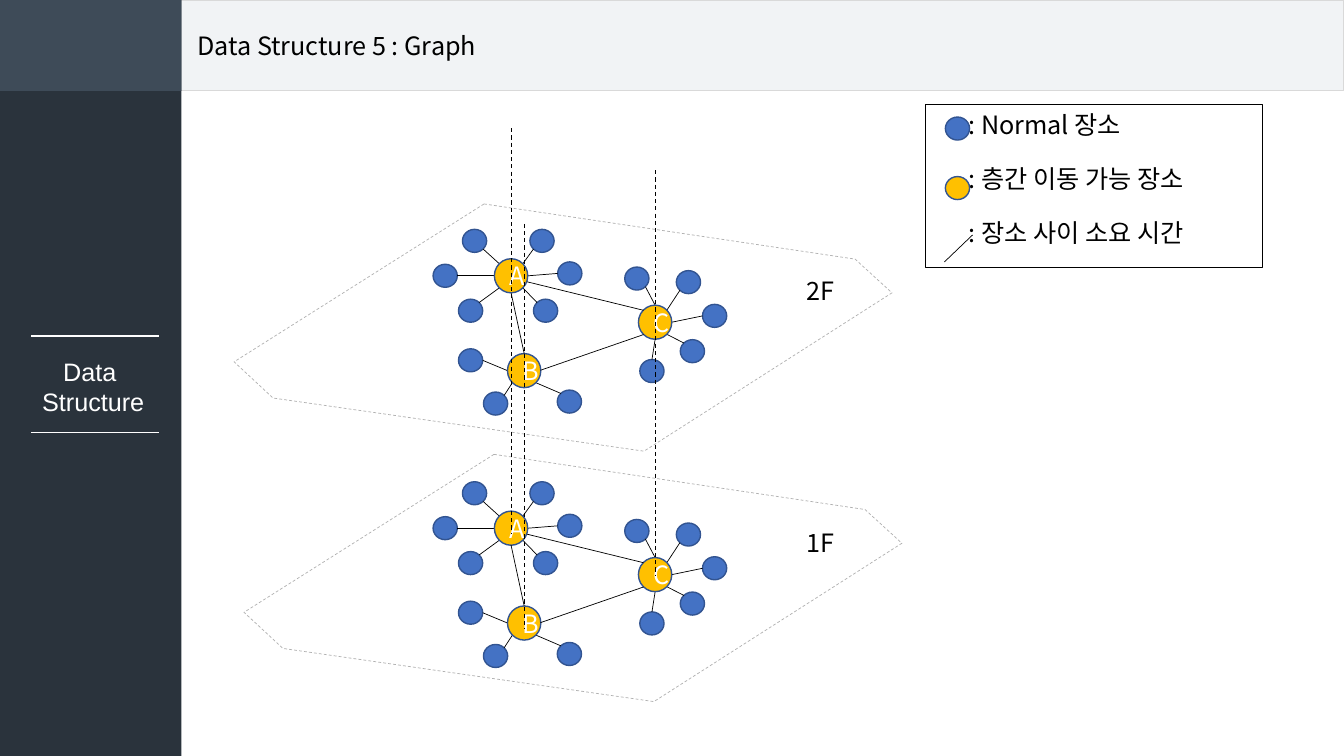
from dataclasses import dataclass
from math import cos, pi, sin

from lxml import etree
from pptx import Presentation
from pptx.dml.color import RGBColor
from pptx.enum.dml import MSO_LINE
from pptx.enum.shapes import MSO_CONNECTOR, MSO_SHAPE
from pptx.enum.text import MSO_ANCHOR, PP_ALIGN
from pptx.oxml.ns import qn
from pptx.util import Cm, Pt

DASH = MSO_LINE.DASH
STRAIGHT = MSO_CONNECTOR.STRAIGHT
RECTANGLE, OVAL = MSO_SHAPE.RECTANGLE, MSO_SHAPE.OVAL
MIDDLE = MSO_ANCHOR.MIDDLE
CENTER = PP_ALIGN.CENTER

BLACK = RGBColor(0x00, 0x00, 0x00)
WHITE = RGBColor(0xFF, 0xFF, 0xFF)
HEADER = RGBColor(0xF1, 0xF3, 0xF5)
HEADER_EDGE = RGBColor(0xD9, 0xD9, 0xD9)
SIDEBAR = RGBColor(0x2A, 0x33, 0x3C)
CORNER = RGBColor(0x3E, 0x4B, 0x58)
FLOOR_EDGE = RGBColor(0xB0, 0xB0, 0xB0)
BLUE = RGBColor(0x44, 0x72, 0xC4)
YELLOW = RGBColor(0xFF, 0xC0, 0x00)
NODE_EDGE = RGBColor(0x32, 0x54, 0x91)

KOREAN_FONT = "Noto Sans CJK KR"
Point = tuple[float, float]

# All lengths below are centimetres.
PLACE_SIZE = (0.61, 0.58)
HUB_SIZE = (0.84, 0.86)
FLOOR_STEP = 6.36
FLOOR_PLANE_STEP = (0.25, 6.31)
SHAFT_LENGTH = 10.2
FLOOR_OUTLINE = [(12.2, 5.14), (21.55, 6.53), (22.48, 7.38),
                 (16.23, 11.37), (6.88, 10.03), (5.9, 9.12)]


@dataclass
class Place:
    """A place round a hub; sites count anticlockwise from the top in eighths."""
    x: float
    y: float
    hub_site: int
    turn: int = 4


@dataclass
class Hub:
    name: str
    x: float
    y: float
    shaft_top: float
    places: list[Place]


HUBS = [
    Hub("A", 12.88, 6.95, 3.23, [
        Place(14.36, 6.89, 6), Place(11.22, 6.95, 2), Place(13.66, 6.07, 7),
        Place(11.96, 6.07, 1), Place(11.86, 7.83, 3), Place(13.75, 7.83, 5)]),
    Hub("B", 13.21, 9.34, 5.64, [
        Place(14.35, 10.12, 5), Place(12.49, 10.17, 3), Place(11.86, 9.08, 2)]),
    Hub("C", 16.51, 8.12, 4.29, [
        Place(18.01, 7.96, 6), Place(17.35, 7.11, 7), Place(16.05, 7.02, 0, 5),
        Place(17.45, 8.85, 5), Place(16.43, 9.35, 4)]),
]
HUB_LINKS = [((13.21, 8.91), (12.88, 7.38)),
             ((13.62, 9.33), (16.22, 8.43)),
             ((13.28, 7.1), (16.22, 7.82))]

presentation = Presentation()
presentation.slide_width, presentation.slide_height = Cm(33.87), Cm(19.05)
slide = presentation.slides.add_slide(presentation.slide_layouts[6])


def paint(shape, fill: RGBColor | None, edge: RGBColor | None, width: float = 1) -> None:
    shape.shadow.inherit = False
    if fill is None:
        shape.fill.background()
    else:
        shape.fill.solid()
        shape.fill.fore_color.rgb = fill
    if edge is None:
        shape.line.fill.background()
    else:
        shape.line.color.rgb = edge
        shape.line.width = Pt(width)


def write(shape, lines: list[str], color: RGBColor, font: str = KOREAN_FONT,
          align: PP_ALIGN | None = None, wrap: bool = True) -> None:
    frame = shape.text_frame
    frame.text = "\n".join(lines)
    frame.word_wrap = wrap
    for paragraph in frame.paragraphs:
        paragraph.alignment = align
        for run in paragraph.runs:
            run.font.size = Pt(18)
            run.font.name = font
            run.font.color.rgb = color
            east_asian = etree.SubElement(run._r.get_or_add_rPr(), qn("a:ea"))
            east_asian.set("typeface", font)


def add_box(left: float, top: float, width: float, height: float,
            fill: RGBColor | None, edge: RGBColor | None = None, line_width: float = 1):
    box = slide.shapes.add_shape(RECTANGLE, Cm(left), Cm(top), Cm(width), Cm(height))
    paint(box, fill, edge, line_width)
    return box


def add_text(left: float, top: float, width: float, height: float):
    return slide.shapes.add_textbox(Cm(left), Cm(top), Cm(width), Cm(height))


def add_line(start: Point, end: Point, color: RGBColor = BLACK, width: float = 0.5):
    line = slide.shapes.add_connector(STRAIGHT, *map(Cm, start + end))
    line.line.color.rgb = color
    line.line.width = Pt(width)
    etree.SubElement(line._element.spPr, qn("a:effectLst"))
    return line


def add_node(x: float, y: float, size: Point, fill: RGBColor):
    """Add a circle centred on (x, y)."""
    width, height = size
    node = slide.shapes.add_shape(OVAL, Cm(x - width / 2), Cm(y - height / 2),
                                  Cm(width), Cm(height))
    paint(node, fill, NODE_EDGE)
    return node


def rim(x: float, y: float, size: Point, site: int) -> Point:
    """Return the point of a circle's rim at the given site."""
    angle = site * pi / 4
    return x - size[0] / 2 * sin(angle), y - size[1] / 2 * cos(angle)


def add_plane(dx: float, dy: float) -> None:
    points = [(Cm(x + dx), Cm(y + dy)) for x, y in FLOOR_OUTLINE]
    builder = slide.shapes.build_freeform(*points[0])
    builder.add_line_segments(points[1:], close=True)
    plane = builder.convert_to_shape()
    paint(plane, WHITE, FLOOR_EDGE, 0.5)
    plane.line.dash_style = DASH


def add_floor(name: str, dy: float) -> None:
    for hub in HUBS:
        for place in hub.places:
            add_node(place.x, place.y + dy, PLACE_SIZE, BLUE)
            add_line(rim(hub.x, hub.y + dy, HUB_SIZE, place.hub_site),
                     rim(place.x, place.y + dy, PLACE_SIZE, place.hub_site + place.turn))
        circle = add_node(hub.x, hub.y + dy, HUB_SIZE, YELLOW)
        write(circle, [hub.name], WHITE, align=CENTER)
        circle.text_frame.vertical_anchor = MIDDLE
    for (x1, y1), (x2, y2) in HUB_LINKS:
        add_line((x1, y1 + dy), (x2, y2 + dy))
    write(add_text(19.41, 6.81 + dy, 2.51, 1.02), [name], BLACK, align=CENTER)


def add_legend() -> None:
    box = add_box(23.32, 2.64, 8.51, 4.11, None, BLACK, 0.75)
    write(box, [": Normal 장소", ": 층간 이동 가능 장소", ": 장소 사이 소요 시간"],
          BLACK, align=PP_ALIGN.LEFT)
    box.text_frame.vertical_anchor = MSO_ANCHOR.TOP
    for index, paragraph in enumerate(box.text_frame.paragraphs):
        paragraph._p.get_or_add_pPr().set("marL", str(Cm(0.84)))
        if index:
            paragraph.space_before = Pt(17)
    add_node(24.13, 3.24, PLACE_SIZE, BLUE)
    add_node(24.13, 4.74, PLACE_SIZE, YELLOW)
    add_line((23.8, 6.6), (24.51, 5.92))


add_box(3.99, 0, 29.87, 2.29, HEADER, HEADER_EDGE)
add_box(0, 0, 4.57, 19.05, SIDEBAR)
add_box(0, 0, 4.57, 2.29, CORNER)
write(add_text(4.72, 0.64, 7.62, 1.02), ["Data Structure 5 : Graph"], BLACK, wrap=False)
for rule_y, rule_width in ((8.46, 1.5), (10.9, 1)):
    add_line((0.79, rule_y), (4.01, rule_y), WHITE, rule_width)
write(add_text(0.79, 8.86, 3.12, 1.8), ["Data ", "Structure"], WHITE, "Arial", CENTER, False)

add_plane(*FLOOR_PLANE_STEP)
add_plane(0, 0)
add_floor("2F", 0)
add_floor("1F", FLOOR_STEP)
for hub in HUBS:
    shaft = add_line((hub.x, hub.shaft_top), (hub.x, hub.shaft_top + SHAFT_LENGTH), width=0.75)
    shaft.line.dash_style = DASH
add_legend()

presentation.save("out.pptx")
